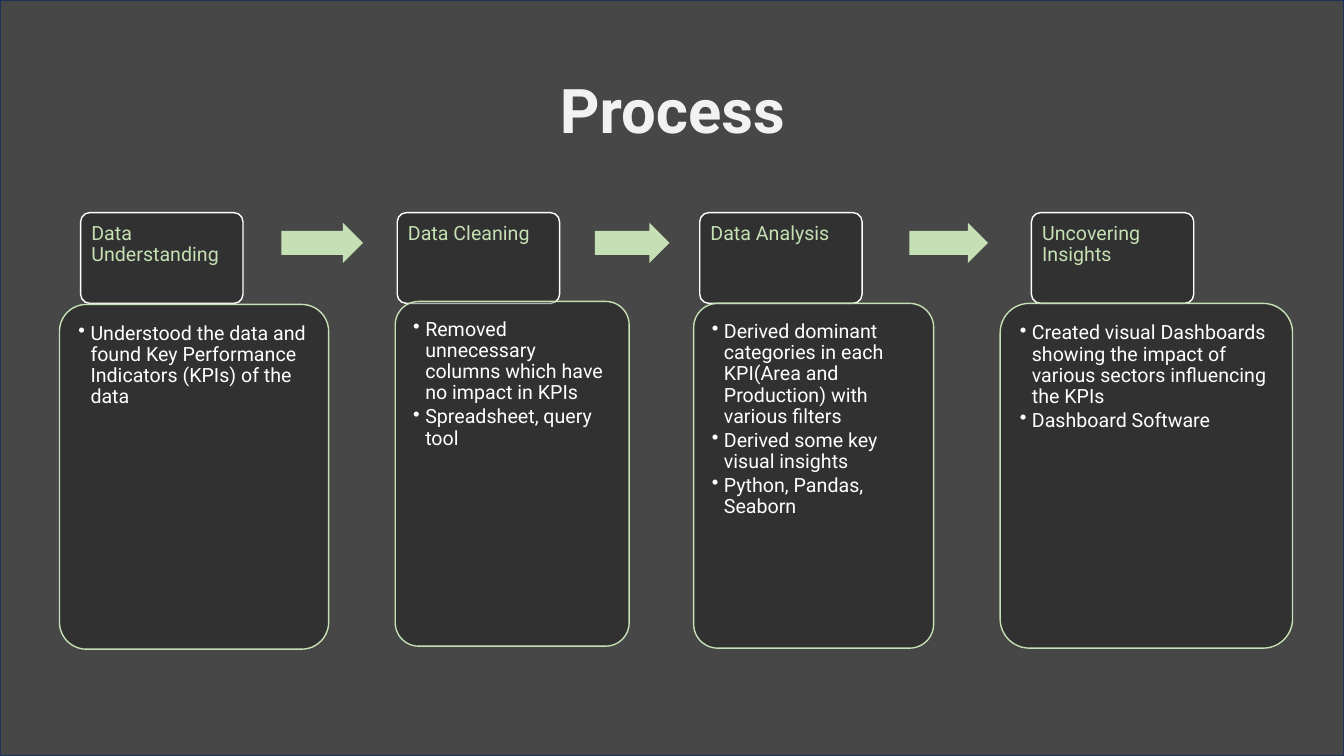
from dataclasses import dataclass
from typing import Optional

from lxml import etree
from pptx import Presentation
from pptx import util as u
from pptx.dml.color import RGBColor
from pptx.enum import shapes, text
from pptx.oxml.ns import qn
from pptx.shapes.autoshape import Shape
from pptx.slide import Slide
from pptx.text.text import _Paragraph as Paragraph

SCALE = 9144  # EMU per px, 100 px to the inch
FONT = "Roboto"
COLOURS = {
    "black": "000000",
    "white": "FFFFFF",
    "title": "F2F2F2",
    "green": "C5E0B4",
    "frame": "1E3256",
}
TAB_TOP, TAB_WIDTH, TAB_HEIGHT = 211, 161, 90
CARD_HEIGHT = 342
ARROW_TOP, ARROW_HEIGHT = 221, 40
TAB_INSET, CARD_INSET = 8, 11
BULLET_INDENT = 12


@dataclass(frozen=True)
class Arrow:
    left: int
    width: int


@dataclass(frozen=True)
class Stage:
    heading: str
    bullets: tuple[str, ...]
    tab_left: int
    card_left: int
    card_top: int
    card_width: int
    arrow: Optional[Arrow] = None


STAGES = (
    Stage("Data Understanding",
          ("Understood the data and found Key Performance Indicators (KPIs) of the data",),
          80, 59, 302, 267, Arrow(279, 81)),
    Stage("Data Cleaning",
          ("Removed unnecessary columns which have no impact in KPIs",
           "Spreadsheet, query tool"),
          394, 392, 299, 232, Arrow(590, 74)),
    Stage("Data Analysis",
          ("Derived dominant categories in each KPI(Area and Production) with various filters",
           "Derived some key visual insights",
           "Python, Pandas, Seaborn"),
          694, 688, 301, 238, Arrow(902, 78)),
    Stage("Uncovering Insights",
          ("Created visual Dashboards showing the impact of various sectors influencing the KPIs",
           "Dashboard Software"),
          1023, 992, 301, 290),
)


def px(length: int) -> u.Emu:
    return u.Emu(length * SCALE)


def colour(name: str) -> RGBColor:
    return RGBColor.from_string(COLOURS[name])


def add_shape(slide: Slide, kind: shapes.MSO_SHAPE, left: int, top: int, width: int,
              height: int, fill: str, opacity: int = 100, line: Optional[str] = None) -> Shape:
    shape = slide.shapes.add_shape(kind, px(left), px(top), px(width), px(height))
    shape.shadow.inherit = False
    shape.fill.solid()
    shape.fill.fore_color.rgb = colour(fill)
    if opacity < 100:
        fill_colour = shape.element.spPr.find(qn("a:solidFill")).find(qn("a:srgbClr"))
        etree.SubElement(fill_colour, qn("a:alpha"), val=str(opacity * 1000))
    if line:
        shape.line.color.rgb = colour(line)
        shape.line.width = u.Pt(1)
    else:
        shape.line.fill.background()
    return shape


def add_run(paragraph: Paragraph, words: str, size: int, name: str, bold: bool = False) -> None:
    run = paragraph.add_run()
    run.text = words
    run.font.name = FONT
    run.font.size = u.Pt(size)
    run.font.bold = bold
    run.font.color.rgb = colour(name)


def add_bullet(paragraph: Paragraph) -> None:
    properties = paragraph._p.get_or_add_pPr()
    properties.set("marL", str(px(BULLET_INDENT)))
    properties.set("indent", str(-px(BULLET_INDENT)))
    etree.SubElement(properties, qn("a:buChar"), char="•")


def add_panel(slide: Slide, left: int, top: int, width: int, height: int, line: str,
              inset: int, lines: tuple[str, ...], text_colour: str, space_after: float,
              bulleted: bool) -> None:
    panel = add_shape(slide, shapes.MSO_SHAPE.ROUNDED_RECTANGLE, left, top, width, height,
                      "black", 30, line)
    panel.adjustments[0] = 0.1
    frame = panel.text_frame
    frame.word_wrap = True
    frame.vertical_anchor = text.MSO_ANCHOR.TOP
    frame.margin_left = frame.margin_right = px(inset)
    frame.margin_top = frame.margin_bottom = px(inset)
    for index, words in enumerate(lines):
        paragraph = frame.add_paragraph() if index else frame.paragraphs[0]
        paragraph.alignment = text.PP_ALIGN.LEFT
        paragraph.line_spacing = 0.9
        paragraph.space_after = u.Pt(space_after)
        if bulleted:
            paragraph.level = 1
            add_bullet(paragraph)
        add_run(paragraph, words, 14, text_colour)


def add_stage(slide: Slide, stage: Stage) -> None:
    add_panel(slide, stage.tab_left, TAB_TOP, TAB_WIDTH, TAB_HEIGHT, "white",
              TAB_INSET, (stage.heading,), "green", 4.9, False)
    add_panel(slide, stage.card_left, stage.card_top, stage.card_width, CARD_HEIGHT, "green",
              CARD_INSET, stage.bullets, "white", 2.1, True)
    if stage.arrow:
        arrow = add_shape(slide, shapes.MSO_SHAPE.RIGHT_ARROW, stage.arrow.left, ARROW_TOP,
                          stage.arrow.width, ARROW_HEIGHT, "green")
        arrow.adjustments[0] = 0.6
        arrow.adjustments[1] = 0.5


def format_title(slide: Slide) -> None:
    title = slide.shapes.title
    title.left, title.top, title.width, title.height = px(92), px(40), px(1150), px(145)
    title.text_frame.vertical_anchor = text.MSO_ANCHOR.MIDDLE
    paragraph = title.text_frame.paragraphs[0]
    paragraph.alignment = text.PP_ALIGN.CENTER
    paragraph.line_spacing = 0.9
    add_run(paragraph, "Process", 44, "title", bold=True)


def main() -> None:
    presentation = Presentation()
    presentation.slide_width, presentation.slide_height = px(1333), px(750)
    slide = presentation.slides.add_slide(presentation.slide_layouts[5])

    # Dark backdrop, behind the title
    backdrop = add_shape(slide, shapes.MSO_SHAPE.RECTANGLE, 0, 0, 1333, 750,
                         "black", 72, "frame")
    slide.shapes.element.insert(2, backdrop.element)

    # Title
    format_title(slide)

    # Process stages
    for stage in STAGES:
        add_stage(slide, stage)

    presentation.save("out.pptx")


if __name__ == "__main__":
    main()
